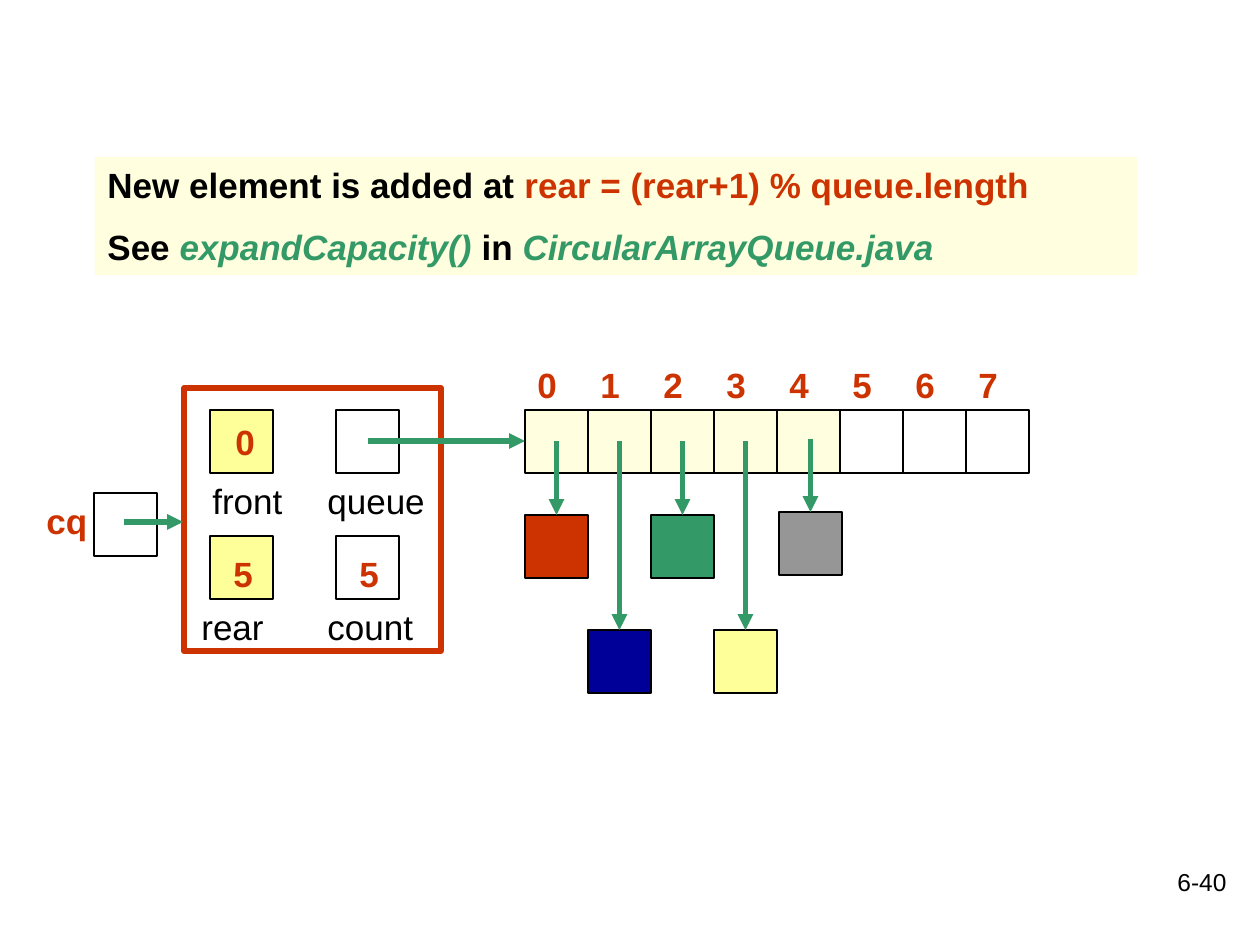
from lxml import etree
from pptx import Presentation
from pptx.dml.color import RGBColor
from pptx.enum.shapes import MSO_CONNECTOR, MSO_SHAPE
from pptx.enum.text import MSO_ANCHOR, PP_ALIGN
from pptx.oxml.ns import qn
from pptx.util import Emu, Pt

RECT = MSO_SHAPE.RECTANGLE
STRAIGHT = MSO_CONNECTOR.STRAIGHT
TOP = MSO_ANCHOR.TOP
LEFT, RIGHT = PP_ALIGN.LEFT, PP_ALIGN.RIGHT

EMU_PER_PX = 914400 / 126
BLACK, RED, GREEN = "000000", "CC3300", "339966"
CREAM, YELLOW, NAVY, GREY = "FFFFDF", "FFFF99", "000099", "969696"
CELL = 63


def px(length):
    return Emu(round(length * EMU_PER_PX))


def rgb(color):
    return RGBColor.from_string(color)


def write(paragraph, text, size=20, color=BLACK, bold=False, italic=False):
    run = paragraph.add_run()
    run.text = text
    font = run.font
    font.name = "Arial"
    font.size = Pt(size)
    font.bold = bold
    font.italic = italic
    font.color.rgb = rgb(color)


class Diagram:
    """Draws on one slide in the style of the queue diagram."""

    def __init__(self, slide):
        self.shapes = slide.shapes

    def box(self, left, top, width=CELL, height=CELL, fill=None,
            line=BLACK, weight=0.75):
        shape = self.shapes.add_shape(
            RECT, px(left), px(top), px(width), px(height))
        shape.shadow.inherit = False
        if fill:
            shape.fill.solid()
            shape.fill.fore_color.rgb = rgb(fill)
        else:
            shape.fill.background()
        if line:
            shape.line.color.rgb = rgb(line)
            shape.line.width = Pt(weight)
        else:
            shape.line.fill.background()
        return shape

    def label(self, left, top, width, text, height=54, align=LEFT, **style):
        frame = self.shapes.add_textbox(
            px(left), px(top), px(width), px(height)).text_frame
        frame.word_wrap = True
        frame.paragraphs[0].alignment = align
        write(frame.paragraphs[0], text, **style)

    def number(self, left, top, text, width=49):
        self.label(left, top, width, text, color=RED, bold=True)

    def banner(self, left, top, width, height, lines):
        frame = self.box(left, top, width, height, CREAM, None).text_frame
        frame.word_wrap = True
        frame.vertical_anchor = TOP
        for index, parts in enumerate(lines):
            paragraph = frame.add_paragraph() if index else frame.paragraphs[0]
            paragraph.alignment = LEFT
            if index:
                paragraph.space_before = Pt(11.5)
            for text, style in parts:
                write(paragraph, text, bold=True, **style)

    def arrow(self, x1, y1, x2, y2):
        line = self.shapes.add_connector(
            STRAIGHT, px(x1), px(y1), px(x2), px(y2))
        line.line.color.rgb = rgb(GREEN)
        line.line.width = Pt(3)
        etree.SubElement(line.line._get_or_add_ln(), qn("a:tailEnd"),
                         type="triangle")
        etree.SubElement(line._element.spPr, qn("a:effectLst"))


def main():
    deck = Presentation()
    deck.slide_width, deck.slide_height = px(1260), px(945)
    diagram = Diagram(deck.slides.add_slide(deck.slide_layouts[6]))

    code = {"color": GREEN, "italic": True}
    diagram.banner(95, 157, 1042, 118, [
        [("New element is added at ", {}),
         ("rear = (rear+1) % queue.length", {"color": RED})],
        [("See ", {}), ("expandCapacity()", code),
         (" in ", {}), ("CircularArrayQueue.java", code)],
    ])

    # The queue object and its four fields
    diagram.box(184, 388, 257, 263, line=RED, weight=3)
    for left, top, fill in [(210, 410, YELLOW), (336, 410, None),
                            (210, 536, YELLOW), (336, 536, None)]:
        diagram.box(left, top, fill=fill)
    for left, top, name in [(200, 473, "front"), (315, 473, "queue"),
                            (189, 599, "rear"), (315, 599, "count")]:
        diagram.label(left, top, 126, name)
    for left, top, value in [(223, 414, "0"), (221, 546, "5"),
                             (347, 546, "5")]:
        diagram.number(left, top, value)

    # The reference to the queue object
    diagram.number(34, 493, "cq", width=118)
    diagram.box(94, 493)
    diagram.arrow(124, 522, 183, 522)

    # The array and the elements it holds
    array_left, array_top = 525, 410
    elements = [(RED, 0, 515), (NAVY, 0, 630), (GREEN, 0, 515),
                (YELLOW, 0, 630), (GREY, 2, 512)]
    for index in range(8):
        left = array_left + index * CELL
        diagram.number(left, 357, str(index))
        diagram.box(left, array_top,
                    fill=CREAM if index < len(elements) else None)
    for index, (fill, shift, top) in enumerate(elements):
        left = array_left + index * CELL + shift
        diagram.box(left, top, fill=fill)
        center = left + CELL / 2
        diagram.arrow(center, 441 - shift, center, top)
    diagram.arrow(368, 441, array_left, 441)

    diagram.label(977, 861, 262, "6-40", height=63, align=RIGHT, size=14)
    deck.save("out.pptx")


if __name__ == "__main__":
    main()
